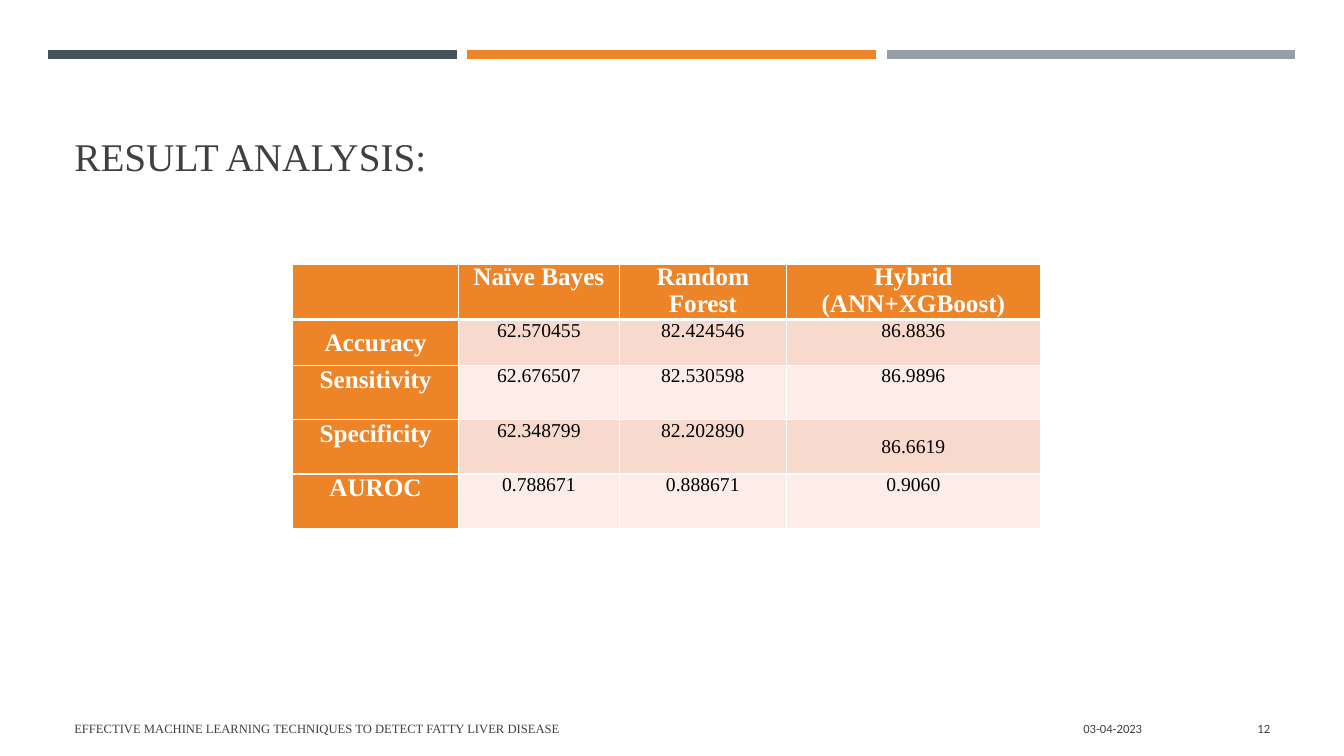
import pptx
import pptx.dml.color
import pptx.enum.shapes
import pptx.enum.text
import pptx.oxml
import pptx.oxml.ns
import pptx.util
import lxml.etree
from dataclasses import dataclass

Pt = pptx.util.Pt
Align = pptx.enum.text.PP_ALIGN
Anchor = pptx.enum.text.MSO_ANCHOR


@dataclass(frozen=True)
class Theme:
    slate: str = "465359"
    orange: str = "ED8428"
    gray: str = "969FA7"
    text: str = "404040"
    value: str = "000000"
    white: str = "FFFFFF"
    bands: tuple = ("F8D9CD", "FCEDE8")
    serif: str = "Times New Roman"
    sans: str = "Calibri"
    title_size: float = 28
    heading_size: float = 18
    value_size: float = 14
    footer_size: float = 9


class SlideBuilder:
    def __init__(self, presentation, theme):
        self.theme = theme
        layout = presentation.slide_layouts.get_by_name("Title Only")
        self.slide = presentation.slides.add_slide(layout)

    def style(self, paragraph, size, color, font=None, bold=False, align=Align.LEFT):
        paragraph.alignment = align
        paragraph.font.name = font or self.theme.serif
        paragraph.font.size = Pt(size)
        paragraph.font.bold = bold
        paragraph.font.color.rgb = pptx.dml.color.RGBColor.from_string(color)

    def title(self, text, left, top, width, height):
        shape = self.slide.shapes.title
        shape.left, shape.top, shape.width, shape.height = map(Pt, (left, top, width, height))
        frame = shape.text_frame
        frame.text = text
        frame.auto_size = pptx.enum.text.MSO_AUTO_SIZE.NONE
        frame.vertical_anchor = Anchor.BOTTOM
        self.style(frame.paragraphs[0], self.theme.title_size, self.theme.text)

    def rule(self, left, top, width, color, thickness):
        line = self.slide.shapes.add_connector(
            pptx.enum.shapes.MSO_CONNECTOR.STRAIGHT,
            Pt(left), Pt(top), Pt(left + width), Pt(top))
        line.line.width = Pt(thickness)
        line.line.color.rgb = pptx.dml.color.RGBColor.from_string(color)
        properties = line._element.spPr
        lxml.etree.SubElement(properties, pptx.oxml.ns.qn("a:effectLst"))

    def footer(self, text, left, width, font, align):
        box = self.slide.shapes.add_textbox(Pt(left), Pt(506.2), Pt(width), Pt(28.8))
        frame = box.text_frame
        frame.word_wrap = True
        frame.vertical_anchor = Anchor.MIDDLE
        frame.text = text
        self.style(frame.paragraphs[0], self.theme.footer_size, self.theme.text, font, align=align)

    def border(self, cell, side, width):
        namespace = pptx.oxml.ns.nsdecls("a")
        line = pptx.oxml.parse_xml(
            f'<a:{side} {namespace} w="{Pt(width)}"><a:solidFill>'
            f'<a:srgbClr val="{self.theme.white}"/></a:solidFill></a:{side}>')
        cell._tc.get_or_add_tcPr().append(line)

    def cell(self, cell, text, row, column):
        theme = self.theme
        heading = row == 0 or column == 0
        # Borders come before the fill in the cell properties
        for side in ("lnL", "lnR", "lnT", "lnB"):
            below_header = (row, side) in ((0, "lnB"), (1, "lnT"))
            self.border(cell, side, 3 if below_header else 1)
        cell.fill.solid()
        fill = theme.orange if heading else theme.bands[(row - 1) % 2]
        cell.fill.fore_color.rgb = pptx.dml.color.RGBColor.from_string(fill)
        cell.margin_left = cell.margin_right = Pt(5)
        cell.margin_top = cell.margin_bottom = 0
        cell.text = text
        paragraph = cell.text_frame.paragraphs[0]
        self.style(paragraph, theme.heading_size if heading else theme.value_size,
                   theme.white if heading else theme.value, bold=heading, align=Align.CENTER)
        if row == 0:
            paragraph.line_spacing = 0.95

    def table(self, rows, left, top, widths, heights, middle_cells):
        frame = self.slide.shapes.add_table(
            len(rows), len(widths), Pt(left), Pt(top), Pt(sum(widths)), Pt(sum(heights)))
        table = frame.table
        table.first_col = True
        for column, width in zip(table.columns, widths):
            column.width = Pt(width)
        for table_row, height in zip(table.rows, heights):
            table_row.height = Pt(height)
        for row, texts in enumerate(rows):
            for column, text in enumerate(texts):
                self.cell(table.cell(row, column), text, row, column)
        for row, column in middle_cells:
            table.cell(row, column).vertical_anchor = Anchor.MIDDLE


def main():
    presentation = pptx.Presentation()
    presentation.slide_width, presentation.slide_height = Pt(960), Pt(540)
    theme = Theme()
    builder = SlideBuilder(presentation, theme)

    # Three bars across the top
    for index, color in enumerate((theme.slate, theme.orange, theme.gray)):
        builder.rule(34.5 + index * 299.4, 38.9, 291.6, color, 6.5)

    builder.title("RESULT ANALYSIS:", 46, 54, 868, 77.8)

    # Results by model
    results = [
        ("", "Naïve Bayes", "Random Forest", "Hybrid (ANN+XGBoost)"),
        ("Accuracy", "62.570455", "82.424546", "86.8836"),
        ("Sensitivity", "62.676507", "82.530598", "86.9896"),
        ("Specificity", "62.348799", "82.202890", "86.6619"),
        ("AUROC", "0.788671", "0.888671", "0.9060"),
    ]
    builder.table(results, 208.9, 188.9, (118.7, 114.7, 119.5, 181.3),
                  (39.4, 32.8, 38.8, 38.8, 38.8), middle_cells=((1, 0), (3, 3)))

    # Footer
    builder.footer("EFFECTIVE MACHINE LEARNING TECHNIQUES TO DETECT FATTY LIVER DISEASE",
                   46, 544.3, theme.serif, Align.LEFT)
    builder.footer("03-04-2023", 599, 223.9, theme.sans, Align.RIGHT)
    builder.footer("12", 831.6, 82.8, theme.sans, Align.RIGHT)

    presentation.save("out.pptx")


if __name__ == "__main__":
    main()
